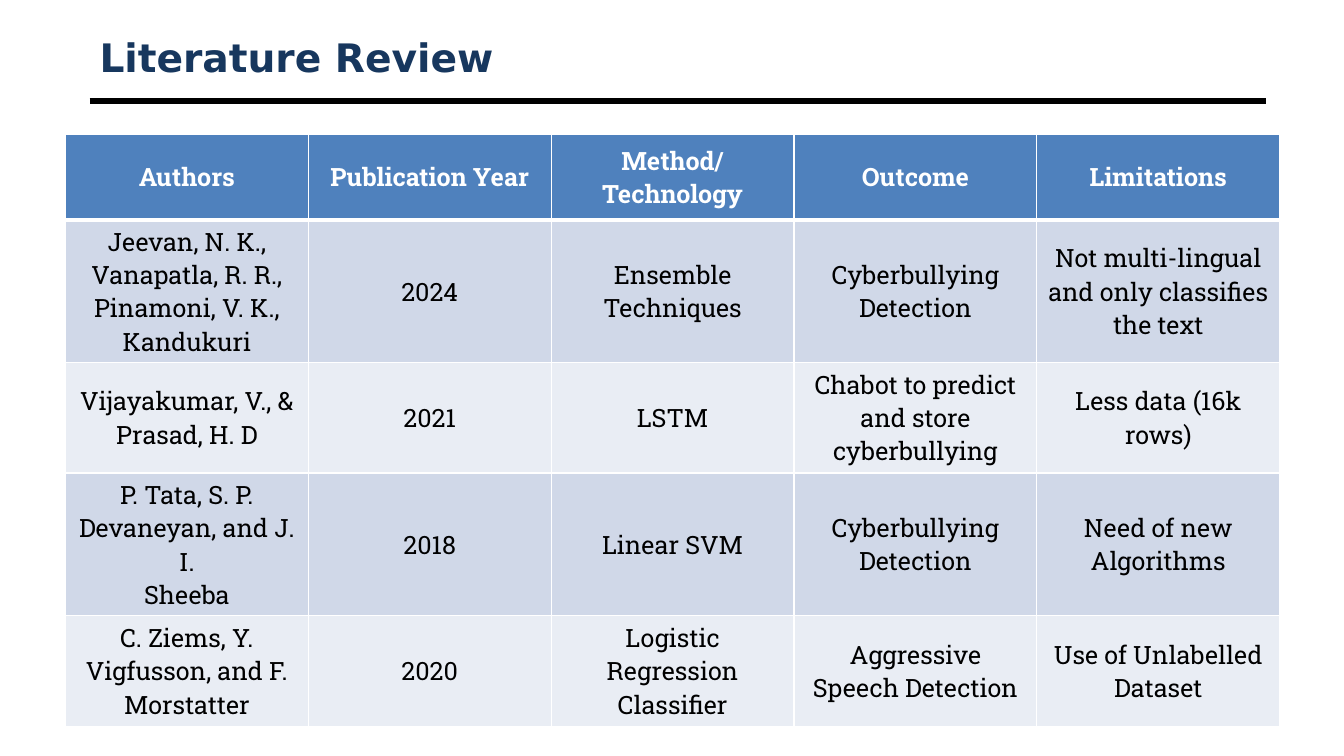
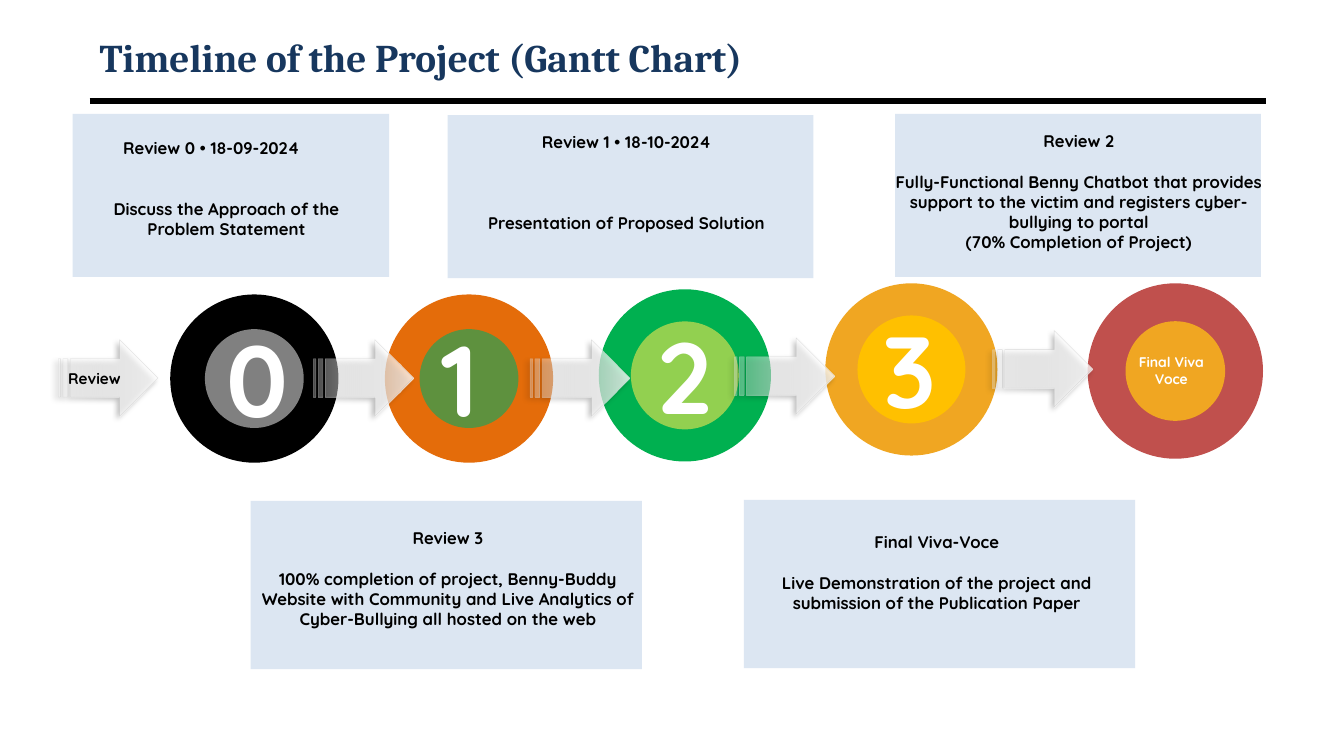
from lxml import etree
from pptx import Presentation
from pptx.dml.color import RGBColor
from pptx.enum.shapes import MSO_CONNECTOR, MSO_SHAPE
from pptx.enum.text import MSO_ANCHOR, PP_ALIGN
from pptx.oxml import parse_xml
from pptx.oxml.ns import qn
from pptx.util import Cm, Pt

STRAIGHT = MSO_CONNECTOR.STRAIGHT
OVAL = MSO_SHAPE.OVAL
RECTANGLE = MSO_SHAPE.RECTANGLE
STRIPED_ARROW = MSO_SHAPE.STRIPED_RIGHT_ARROW
TOP, MIDDLE = MSO_ANCHOR.TOP, MSO_ANCHOR.MIDDLE
LEFT, CENTER = PP_ALIGN.LEFT, PP_ALIGN.CENTER

BLACK = RGBColor(0x00, 0x00, 0x00)
WHITE = RGBColor(0xFF, 0xFF, 0xFF)
NAVY = RGBColor(0x17, 0x37, 0x5E)
HEADER_BLUE = RGBColor(0x4F, 0x81, 0xBD)
BAND_DARK = RGBColor(0xD0, 0xD8, 0xE8)
BAND_LIGHT = RGBColor(0xE9, 0xED, 0xF4)
CARD_BLUE = RGBColor(0xDC, 0xE6, 0xF2)
GRAY = RGBColor(0x80, 0x80, 0x80)
ORANGE = RGBColor(0xE4, 0x6C, 0x0A)
OLIVE = RGBColor(0x5E, 0x91, 0x3E)
GREEN = RGBColor(0x00, 0xB0, 0x50)
LIME = RGBColor(0x92, 0xD0, 0x50)
AMBER = RGBColor(0xF0, 0xA6, 0x22)
YELLOW = RGBColor(0xFF, 0xC0, 0x00)
RED = RGBColor(0xC0, 0x50, 0x4D)

TABLE_FONT = "Roboto Slab"
TIMELINE_FONT = "Quicksand"
LINE_PITCH = 14.5
DRAWING = 'xmlns:a="http://schemas.openxmlformats.org/drawingml/2006/main"'

GLASS_FILL = f"""<a:gradFill {DRAWING} rotWithShape="1"><a:gsLst>
<a:gs pos="0"><a:srgbClr val="FFFFFF"><a:alpha val="30000"/></a:srgbClr></a:gs>
<a:gs pos="100000"><a:srgbClr val="FFFFFF"><a:alpha val="80000"/></a:srgbClr></a:gs>
</a:gsLst><a:lin ang="0" scaled="0"/></a:gradFill>"""
GLASS_LINE = f"""<a:ln {DRAWING} w="3175"><a:solidFill><a:srgbClr val="BFBFBF">
<a:alpha val="50000"/></a:srgbClr></a:solidFill></a:ln>"""
SOFT_SHADOW = f"""<a:effectLst {DRAWING}><a:outerShdw blurRad="50800" dist="38100"
dir="8100000" algn="tr" rotWithShape="0"><a:srgbClr val="000000">
<a:alpha val="40000"/></a:srgbClr></a:outerShdw></a:effectLst>"""


class Deck:
    def __init__(self):
        self.deck = Presentation()
        self.deck.slide_width, self.deck.slide_height = Cm(33.87), Cm(19.05)
        self.page = None

    def add_page(self, title, font):
        self.page = self.deck.slides.add_slide(self.deck.slide_layouts[6])
        rule = self.page.shapes.add_connector(
            STRAIGHT, Cm(2.26), Cm(2.55), Cm(31.9), Cm(2.55))
        rule.line.color.rgb = BLACK
        rule.line.width = Pt(4.5)
        etree.SubElement(rule._element.spPr, qn("a:effectLst"))
        frame = self.text_box(2.26, 0.76, 29.64, 1.35, MIDDLE)
        self.span(frame.paragraphs[0], title, font, 28, NAVY)

    def text_box(self, left, top, width, height, anchor=TOP):
        box = self.page.shapes.add_textbox(
            Cm(left), Cm(top), Cm(width), Cm(height))
        frame = box.text_frame
        frame.word_wrap = True
        frame.vertical_anchor = anchor
        return frame

    def span(self, para, text, font, size, color, bold=True, shadow=False):
        span = para.add_run()
        span.text = text
        span.font.name = font
        span.font.size = Pt(size)
        span.font.bold = bold
        span.font.color.rgb = color
        if shadow:
            fill = span._r.rPr.find(qn("a:solidFill"))
            fill.addnext(parse_xml(SOFT_SHADOW))

    def lines(self, frame, texts, size, color, align=CENTER, shadow=False):
        for index, text in enumerate(texts):
            para = frame.add_paragraph() if index else frame.paragraphs[0]
            para.alignment = align
            self.span(para, text, TIMELINE_FONT, size, color, shadow=shadow)

    def shape(self, kind, left, top, width, height, color):
        shape = self.page.shapes.add_shape(
            kind, Cm(left), Cm(top), Cm(width), Cm(height))
        shape.shadow.inherit = False
        shape.fill.solid()
        shape.fill.fore_color.rgb = color
        shape.line.fill.background()
        return shape

    def ring(self, center_x, center_y, outer, inner, outer_color, inner_color):
        for size, color in ((outer, outer_color), (inner, inner_color)):
            self.shape(OVAL, center_x - size / 2, center_y - size / 2,
                       size, size, color)

    def arrow(self, left, top):
        arrow = self.shape(STRIPED_ARROW, left, top, 2.51, 1.93, WHITE)
        properties = arrow._element.spPr
        for tag, markup in (("a:solidFill", GLASS_FILL), ("a:ln", GLASS_LINE),
                            ("a:effectLst", SOFT_SHADOW)):
            properties.replace(properties.find(qn(tag)), parse_xml(markup))

    def card(self, area, text_left, text_top, heading, blank_lines, body,
             body_shift=0):
        self.shape(RECTANGLE, *area, CARD_BLUE)
        bottom = area[1] + area[3]
        frame = self.text_box(text_left, text_top, 9.98, bottom - text_top)
        self.lines(frame, [heading, *body], 12, BLACK, shadow=True)
        body_paras = frame.paragraphs[1:]
        body_paras[0].space_before = Pt(LINE_PITCH * blank_lines)
        for para in body_paras:
            para._p.get_or_add_pPr().set("marL", str(Cm(body_shift)))

    def table(self, left, top, column_width, heights, rows):
        columns = len(rows[0])
        table = self.page.shapes.add_table(
            len(rows), columns, Cm(left), Cm(top),
            Cm(column_width * columns), Cm(sum(heights))).table
        for column in table.columns:
            column.width = Cm(column_width)
        for row_index, texts in enumerate(rows):
            table.rows[row_index].height = Cm(heights[row_index])
            for column_index, text in enumerate(texts):
                self.cell(table.cell(row_index, column_index), text, row_index)

    def cell(self, cell, text, row_index):
        header = row_index == 0
        band = BAND_DARK if row_index % 2 else BAND_LIGHT
        cell.fill.solid()
        cell.fill.fore_color.rgb = HEADER_BLUE if header else band
        cell.vertical_anchor = MIDDLE
        frame = cell.text_frame
        for index, line in enumerate(text.split("\n")):
            para = frame.add_paragraph() if index else frame.paragraphs[0]
            para.alignment = CENTER
            self.span(para, line, TABLE_FONT, 18,
                      WHITE if header else BLACK, bold=header)
        top_width = 3 if row_index == 1 else 1
        bottom_width = 3 if header else 1
        sides = (("L", 1), ("R", 1), ("T", top_width), ("B", bottom_width))
        for index, (side, width) in enumerate(sides):
            cell._tc.tcPr.insert(index, parse_xml(
                f'<a:ln{side} {DRAWING} w="{Pt(width)}"><a:solidFill>'
                f'<a:srgbClr val="{WHITE}"/></a:solidFill></a:ln{side}>'))


def literature_page(deck):
    deck.add_page("Literature Review", "DejaVu Sans")
    deck.table(1.65, 3.38, 6.12, (2.16, 3.6, 2.78, 3.6, 2.78), (
        ("Authors", "Publication Year", "Method/ Technology", "Outcome",
         "Limitations"),
        ("Jeevan, N. K., Vanapatla, R. R., Pinamoni, V. K., Kandukuri", "2024",
         "Ensemble Techniques", "Cyberbullying Detection",
         "Not multi-lingual and only classifies the text"),
        ("Vijayakumar, V., & Prasad, H. D", "2021", "LSTM",
         "Chabot to predict and store cyberbullying", "Less data (16k rows)"),
        ("P. Tata, S. P. Devaneyan, and J. I.\nSheeba", "2018", "Linear SVM",
         "Cyberbullying Detection", "Need of new Algorithms"),
        ("C. Ziems, Y. Vigfusson, and F.\nMorstatter", "2020",
         "Logistic Regression Classifier", "Aggressive Speech Detection",
         "Use of Unlabelled Dataset"),
    ))


def timeline_page(deck):
    deck.add_page("Timeline of the Project (Gantt Chart)", "Cambria")
    rings = (
        (6.41, 9.54, 4.24, 2.49, BLACK, GRAY),
        (11.82, 9.54, 4.24, 2.49, ORANGE, OLIVE),
        (17.26, 9.46, 4.34, 2.72, GREEN, LIME),
        (22.97, 9.31, 4.34, 2.72, AMBER, YELLOW),
        (29.62, 9.35, 4.42, 2.51, RED, AMBER),
    )
    for ring in rings:
        deck.ring(*ring)
    for left, top in ((1.47, 8.56), (7.9, 8.56), (13.36, 8.56),
                      (18.52, 8.51), (25.02, 8.33)):
        deck.arrow(left, top)
    for number, (center_x, center_y, *_) in enumerate(rings[:-1]):
        frame = deck.text_box(center_x - 0.95, center_y - 1.69, 2.34, 3.33)
        deck.lines(frame, [str(number)], 72, WHITE, LEFT)
    deck.lines(deck.text_box(1.47, 9.17, 2.01, 0.74), ["Review"], 11, BLACK,
               LEFT, shadow=True)
    deck.lines(deck.text_box(28.35, 8.79, 2.34, 1.12),
               ["Final Viva", "Voce"], 10, WHITE)

    deck.card((1.83, 2.87, 7.98, 4.11), 0.34, 3.35, "Review 0 • 18-09-2024", 2,
              ["Discuss the Approach of the", "Problem Statement"], 0.76)
    deck.card((11.28, 2.9, 9.22, 4.11), 10.8, 3.2, "Review 1 • 18-10-2024", 3,
              ["Presentation of Proposed Solution"])
    deck.card((22.56, 2.87, 9.22, 4.11), 22.2, 3.18, "Review 2", 1,
              ["Fully-Functional Benny Chatbot that provides support to the "
               "victim and registers cyber-bullying to portal",
               "(70% Completion of Project)"])
    deck.card((6.32, 12.62, 9.86, 4.24), 6.3, 13.18, "Review 3", 1,
              ["100% completion of project, Benny-Buddy Website with Community "
               "and Live Analytics of Cyber-Bullying all hosted on the web"])
    deck.card((18.75, 12.6, 9.86, 4.24), 18.62, 13.28, "Final Viva-Voce", 1,
              ["Live Demonstration of the project and submission of the "
               "Publication Paper"])


def main():
    deck = Deck()
    literature_page(deck)
    timeline_page(deck)
    deck.deck.save("out.pptx")


if __name__ == "__main__":
    main()
